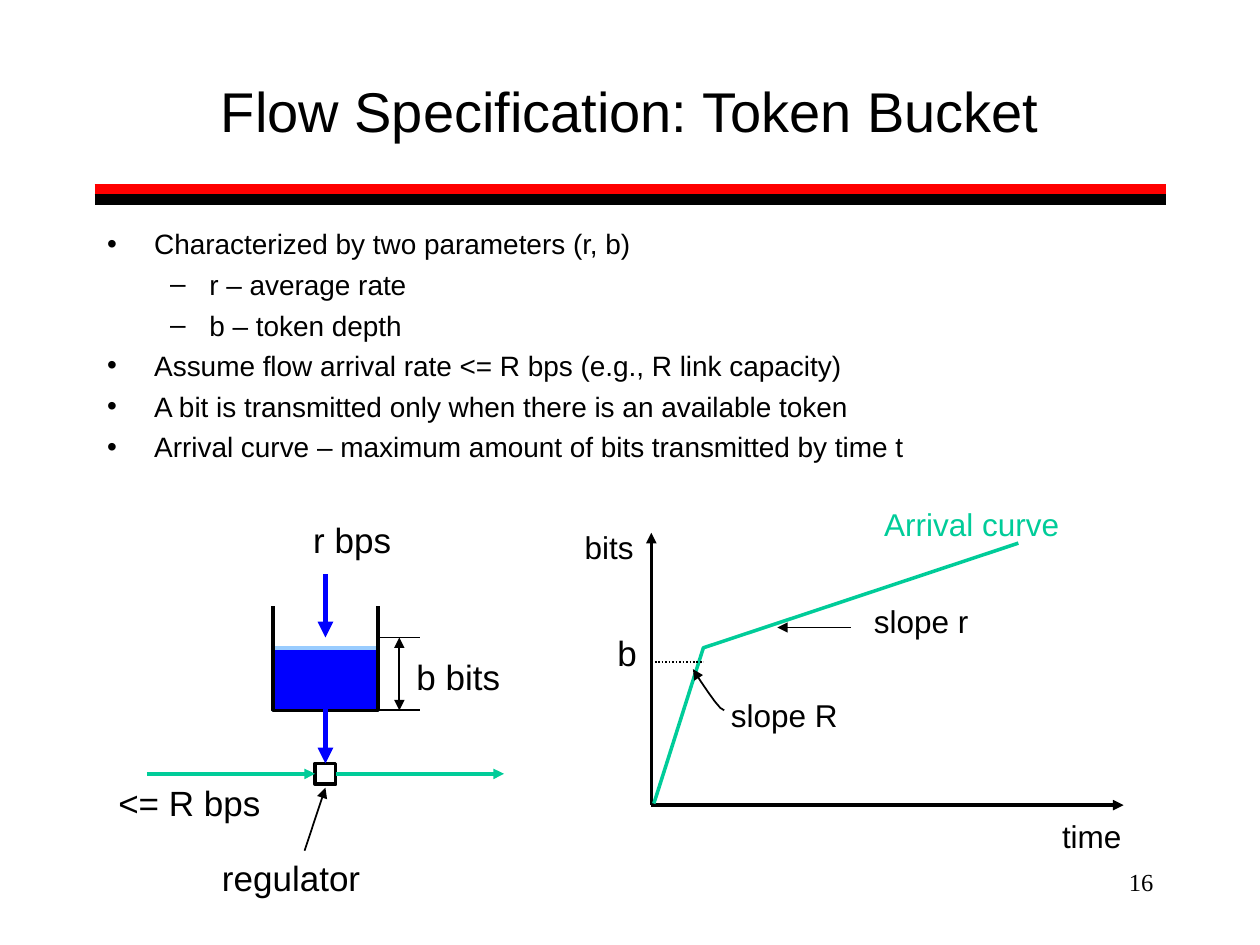
"""Build the token bucket flow specification slide."""
from lxml.etree import SubElement
from pptx import Presentation
from pptx.dml.color import RGBColor
from pptx.enum.dml import MSO_LINE as Dash
from pptx.enum.shapes import MSO_CONNECTOR as Link, MSO_SHAPE as Preset
from pptx.enum.text import MSO_ANCHOR as Anchor, PP_ALIGN as Align
from pptx.oxml.ns import qn
from pptx.util import Cm, Pt

BLACK = RGBColor(0, 0, 0)
RED = RGBColor(0xFF, 0, 0)
BLUE = RGBColor(0, 0, 0xFF)
SKY = RGBColor(0x99, 0xCC, 0xFF)
GREEN = RGBColor(0, 0xCC, 0x99)

LEFT, RIGHT = 1.91, 23.5
TITLE = "Flow Specification: Token Bucket"
PAGE = "16"
POINTS = [
    (0, "Characterized by two parameters (r, b)"),
    (1, "r – average rate"),
    (1, "b – token depth"),
    (0, "Assume flow arrival rate <= R bps (e.g., R link capacity)"),
    (0, "A bit is transmitted only when there is an available token"),
    (0, "Arrival curve – maximum amount of bits transmitted by time t"),
]
LEVELS = [("•", 0.95, -0.95), ("–", 2.06, -0.79)]

LABELS = [
    ("r bps", 7.1, 10.33, 2.2, 20, BLACK),
    ("b bits", 9.24, 13.08, 2.3, 20, BLACK),
    ("<= R bps", 3.82, 15.62, 3.6, 20, BLACK),
    ("regulator", 5.87, 17.15, 3.4, 20, BLACK),
    ("time", 22.01, 16.35, 1.8, 18, BLACK),
    ("bits", 12.28, 10.52, 1.6, 18, BLACK),
    ("b", 12.64, 12.6, 1, 20, BLACK),
    ("slope R", 15.81, 13.91, 2.8, 18, BLACK),
    ("slope r", 18.57, 12.01, 2.5, 18, BLACK),
    ("Arrival curve", 19.59, 10.06, 4.4, 18, GREEN),
]
LABEL_HEIGHT = 1.08

BUCKET_LEFT, BUCKET_RIGHT = 5.5, 7.62
BUCKET_TOP, BUCKET_BOTTOM = 12.22, 14.32
WATER_TOP, DEPTH_TOP = 13.06, 12.85
MIDDLE = (BUCKET_LEFT + BUCKET_RIGHT) / 2
REGULATOR_SIZE, FLOW_Y = 0.42, 15.6
REGULATOR_LEFT = MIDDLE - REGULATOR_SIZE / 2
REGULATOR_TOP = FLOW_Y - REGULATOR_SIZE / 2
REGULATOR_RIGHT = REGULATOR_LEFT + REGULATOR_SIZE
TICK_END, DEPTH_X = 8.47, 8.05
ORIGIN_X, ORIGIN_Y = 13.13, 16.23
KNEE_X = 14.18

RULES = [
    (LEFT, 3.81, RIGHT, 3.81, RED, 6, ""),
    (LEFT, 4.02, RIGHT, 4.02, BLACK, 6, ""),
]
BUCKET_LINES = [
    (MIDDLE, 11.58, MIDDLE, DEPTH_TOP, BLUE, 3, "tail"),
    (DEPTH_X, DEPTH_TOP, DEPTH_X, BUCKET_BOTTOM, BLACK, 1, "head tail"),
    (BUCKET_RIGHT, BUCKET_BOTTOM, TICK_END, BUCKET_BOTTOM, BLACK, 1, ""),
    (BUCKET_RIGHT, DEPTH_TOP, TICK_END, DEPTH_TOP, BLACK, 1, ""),
    (2.96, FLOW_Y, REGULATOR_LEFT, FLOW_Y, GREEN, 2, "tail"),
    (MIDDLE, 14.12, MIDDLE, REGULATOR_TOP, BLUE, 3, "tail"),
    (REGULATOR_RIGHT, FLOW_Y, 10.16, FLOW_Y, GREEN, 2, "tail"),
    (6.14, 17.15, MIDDLE, 15.88, BLACK, 1, "tail"),
]
CHART_LINES = [
    (ORIGIN_X, ORIGIN_Y, 22.65, ORIGIN_Y, BLACK, 2, "tail"),
    (ORIGIN_X, ORIGIN_Y, ORIGIN_X, 10.74, BLACK, 2, "tail"),
    (17.15, 12.65, 15.67, 12.65, BLACK, 1, "tail"),
]
DEPTH_GUIDE = (ORIGIN_X, 13.34, KNEE_X, 13.34, BLACK, 1, "")
BUCKET = [(BUCKET_LEFT, BUCKET_TOP), (BUCKET_LEFT, BUCKET_BOTTOM),
          (BUCKET_RIGHT, BUCKET_BOTTOM), (BUCKET_RIGHT, BUCKET_TOP)]
ARRIVAL_CURVE = [(13.18, 16.2), (13.23, 16.05), (KNEE_X, 13.06), (20.53, 10.95)]
SLOPE_POINTER = [(14.6, 14.32), (14.52, 14.27), (14.41, 14.14), (14.28, 13.96),
                 (14.13, 13.74), (13.97, 13.49)]


def assign(target, formats):
    for name, value in formats.items():
        setattr(target, name, value)


def style_line(shape, color, width, ends=""):
    shape.line.fill.solid()
    shape.line.fill.fore_color.rgb = color
    shape.line.width = Pt(width)
    outline = shape.line._get_or_add_ln()
    for end in ends.split():
        SubElement(outline, qn(f"a:{end}End"), type="triangle")


def add_line(slide, x1, y1, x2, y2, color, width, ends):
    line = slide.shapes.add_connector(Link.STRAIGHT, Cm(x1), Cm(y1), Cm(x2), Cm(y2))
    style_line(line, color, width, ends)
    SubElement(line._element.spPr, qn("a:effectLst"))
    return line


def add_path(slide, points, color, width, ends=""):
    start, *rest = [(Cm(x), Cm(y)) for x, y in points]
    builder = slide.shapes.build_freeform(*start)
    builder.add_line_segments(rest, close=False)
    path = builder.convert_to_shape()
    path.fill.background()
    path.shadow.inherit = False
    style_line(path, color, width, ends)


def add_box(slide, left, top, width, height, color, line_color):
    box = slide.shapes.add_shape(Preset.RECTANGLE, Cm(left), Cm(top), Cm(width), Cm(height))
    box.shadow.inherit = False
    if color is None:
        box.fill.background()
    else:
        box.fill.solid()
        box.fill.fore_color.rgb = color
    style_line(box, line_color, 2)


def write(paragraph, text, size, color=BLACK, face="Arial", align=Align.LEFT):
    paragraph.alignment = align
    run = paragraph.add_run()
    run.text = text
    assign(run.font, {"size": Pt(size), "name": face})
    run.font.color.rgb = color


def add_frame(slide, left, top, width, height, **formats):
    frame = slide.shapes.add_textbox(Cm(left), Cm(top), Cm(width), Cm(height)).text_frame
    assign(frame, {"word_wrap": True, **formats})
    return frame


def add_points(slide):
    frame = add_frame(slide, LEFT, 4.45, RIGHT - LEFT, 6.02)
    for index, (level, text) in enumerate(POINTS):
        paragraph = frame.add_paragraph() if index else frame.paragraphs[0]
        bullet, margin, indent = LEVELS[level]
        assign(paragraph, {"level": level, "space_before": Pt(4 if index else 0)})
        properties = paragraph._p.get_or_add_pPr()
        properties.set("marL", str(Cm(margin)))
        properties.set("indent", str(Cm(indent)))
        bullet_color = SubElement(properties, qn("a:buClr"))
        SubElement(bullet_color, qn("a:srgbClr"), val=str(BLACK))
        SubElement(properties, qn("a:buFont"), typeface="Arial")
        SubElement(properties, qn("a:buChar"), char=bullet)
        write(paragraph, text, 16)


def main():
    deck = Presentation()
    assign(deck, {"slide_width": Cm(25.4), "slide_height": Cm(19.05)})
    slide = deck.slides.add_slide(deck.slide_layouts[6])
    for rule in RULES:
        add_line(slide, *rule)

    page = add_frame(slide, 18.2, 17.35, 5.3, 1.27)
    write(page.paragraphs[0], PAGE, 14, face="Times New Roman", align=Align.RIGHT)
    title = add_frame(slide, LEFT, 1.06, RIGHT - LEFT, 2.33, vertical_anchor=Anchor.MIDDLE)
    write(title.paragraphs[0], TITLE, 32, align=Align.CENTER)
    add_points(slide)

    add_box(slide, BUCKET_LEFT, WATER_TOP, BUCKET_RIGHT - BUCKET_LEFT,
            BUCKET_BOTTOM - WATER_TOP, BLUE, SKY)
    add_path(slide, BUCKET, BLACK, 2)
    add_box(slide, REGULATOR_LEFT, REGULATOR_TOP, REGULATOR_SIZE, REGULATOR_SIZE, None, BLACK)
    for line in BUCKET_LINES + CHART_LINES:
        add_line(slide, *line)
    add_path(slide, ARRIVAL_CURVE, GREEN, 2)
    add_line(slide, *DEPTH_GUIDE).line.dash_style = Dash.ROUND_DOT
    add_path(slide, SLOPE_POINTER, BLACK, 1, "tail")
    for text, center, top, width, size, color in LABELS:
        label = add_frame(slide, center - width / 2, top, width, LABEL_HEIGHT, word_wrap=False)
        write(label.paragraphs[0], text, size, color, align=Align.CENTER)
    deck.save("out.pptx")


if __name__ == "__main__":
    main()
